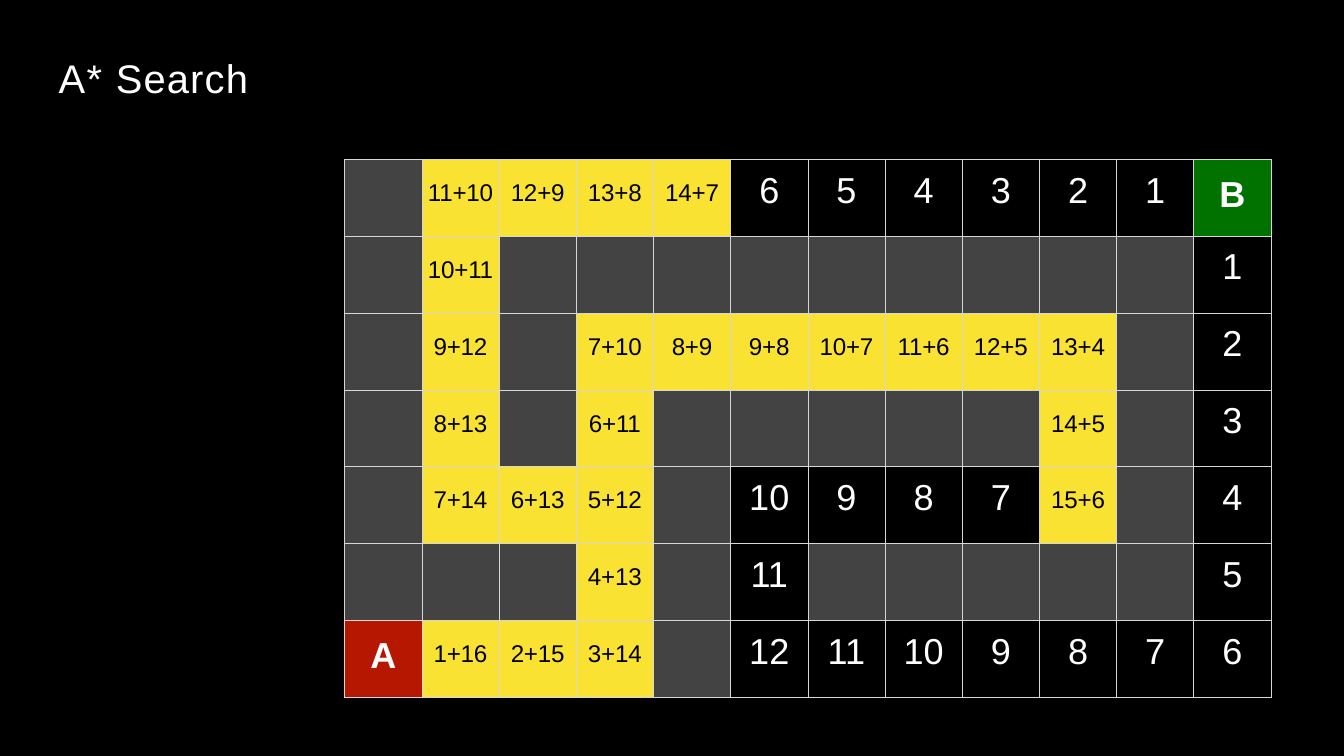
from lxml.etree import SubElement
from pptx import Presentation
from pptx.dml.color import RGBColor
from pptx.enum.text import MSO_ANCHOR, MSO_AUTO_SIZE, PP_ALIGN
from pptx.oxml.ns import qn
from pptx.util import Inches, Pt

FONT = "Arial"
COLORS = {
    "black": "000000",
    "white": "FFFFFF",
    "wall": "434343",
    "explored": "FAE232",
    "start": "B51700",
    "goal": "017100",
    "grid": "D6D7D6",
}

# Fill, text colour, size, bold, letter spacing and top inset of each kind of cell
CELL_STYLES = {
    "wall": ("wall", "white", 18, False, 0, 0),
    "explored": ("explored", "black", 28.5, False, -0.2, 0.33),
    "open": ("black", "white", 42.5, False, 0, 0.18),
    "start": ("start", "white", 42.5, True, 0, 0.25),
    "goal": ("goal", "white", 42.5, True, 0, 0.26),
}

# One line per maze row; "#" is a wall
MAZE = [row.split() for row in (
    "# 11+10 12+9 13+8 14+7 6 5 4 3 2 1 B",
    "# 10+11 # # # # # # # # # 1",
    "# 9+12 # 7+10 8+9 9+8 10+7 11+6 12+5 13+4 # 2",
    "# 8+13 # 6+11 # # # # # 14+5 # 3",
    "# 7+14 6+13 5+12 # 10 9 8 7 15+6 # 4",
    "# # # 4+13 # 11 # # # # # 5",
    "A 1+16 2+15 3+14 # 12 11 10 9 8 7 6",
)]


def rgb(name):
    return RGBColor.from_string(COLORS[name])


def add_run(paragraph, text, size, color, bold=False, spacing=0):
    run = paragraph.add_run()
    run.text = text
    run.font.name = FONT
    run.font.size = Pt(size)
    run.font.bold = bold
    run.font.color.rgb = rgb(color)
    if spacing:
        run.font._element.set("spc", str(round(spacing * 100)))


def cell_kind(label):
    if "+" in label:
        return "explored"
    return {"#": "wall", "A": "start", "B": "goal"}.get(label, "open")


def add_borders(cell):
    properties = cell._tc.get_or_add_tcPr()
    for side in ("a:lnL", "a:lnR", "a:lnT", "a:lnB"):
        line = SubElement(properties, qn(side), w=str(Pt(1)))
        fill = SubElement(line, qn("a:solidFill"))
        SubElement(fill, qn("a:srgbClr"), val=COLORS["grid"])


def fill_cell(cell, label):
    kind = cell_kind(label)
    fill, color, size, bold, spacing, inset = CELL_STYLES[kind]
    add_borders(cell)
    cell.fill.solid()
    cell.fill.fore_color.rgb = rgb(fill)
    cell.margin_left = cell.margin_right = cell.margin_bottom = 0
    cell.margin_top = Inches(inset)
    if kind != "wall":
        paragraph = cell.text_frame.paragraphs[0]
        paragraph.alignment = PP_ALIGN.CENTER
        add_run(paragraph, label, size, color, bold, spacing)


def add_maze(slide):
    frame = slide.shapes.add_table(
        len(MAZE), len(MAZE[0]),
        Inches(5.64), Inches(2.61), Inches(15.16), Inches(8.8))
    maze = frame.table
    maze.first_row = maze.horz_banding = False
    for r, labels in enumerate(MAZE):
        for c, label in enumerate(labels):
            fill_cell(maze.cell(r, c), label)


def set_title(slide):
    title = slide.shapes.title
    title.left, title.top = Inches(0.96), Inches(0.86)
    title.width, title.height = Inches(3.15), Inches(0.81)
    frame = title.text_frame
    frame.word_wrap = True
    frame.auto_size = MSO_AUTO_SIZE.SHAPE_TO_FIT_TEXT
    frame.vertical_anchor = MSO_ANCHOR.TOP
    frame.margin_left = frame.margin_right = frame.margin_bottom = 0
    frame.margin_top = Inches(0.01)
    heading = frame.paragraphs[0]
    heading.alignment = PP_ALIGN.LEFT
    add_run(heading, "A* ", 47, "white", spacing=1.5)
    add_run(heading, "Search", 47, "white", spacing=1.4)


def main():
    deck = Presentation()
    deck.slide_width, deck.slide_height = Inches(21.99), Inches(12.37)
    slide = deck.slides.add_slide(deck.slide_layouts[5])

    # Black background
    background = slide.background.fill
    background.solid()
    background.fore_color.rgb = rgb("black")

    # Title and maze
    set_title(slide)
    add_maze(slide)
    deck.save("out.pptx")


if __name__ == "__main__":
    main()
